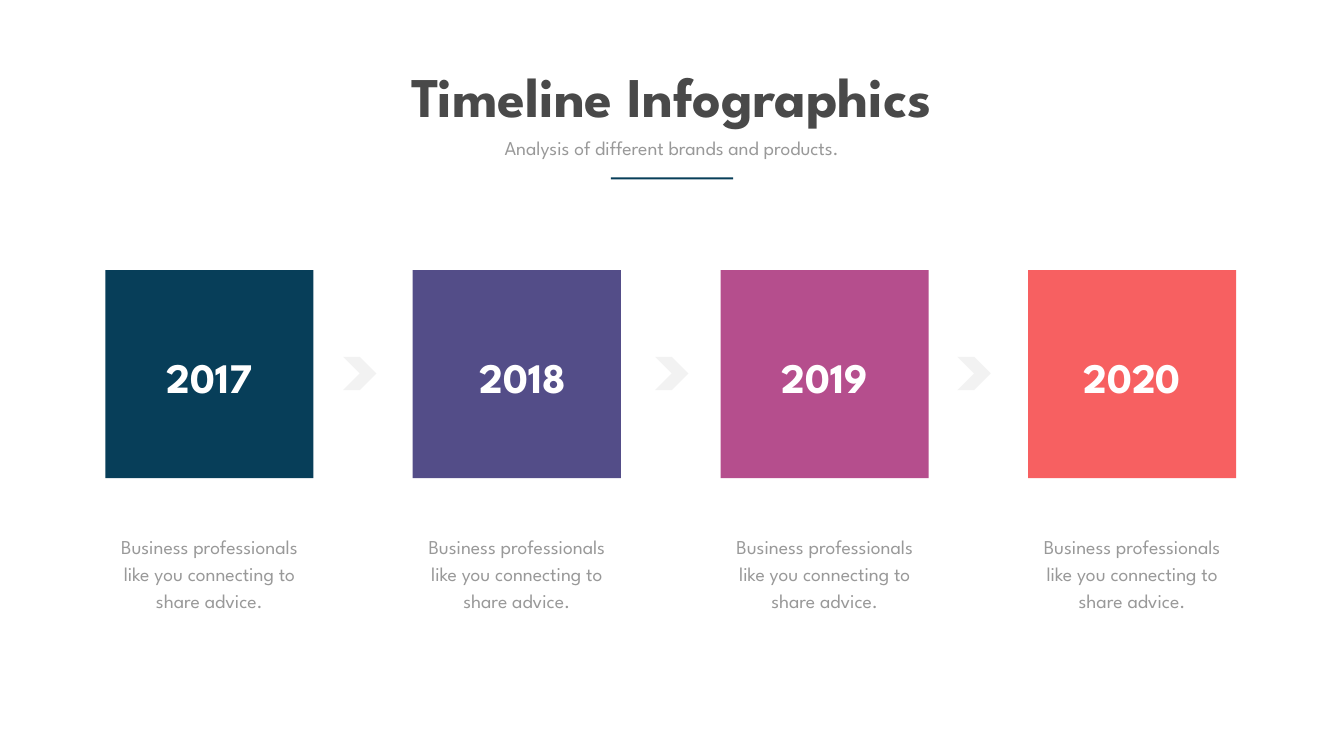
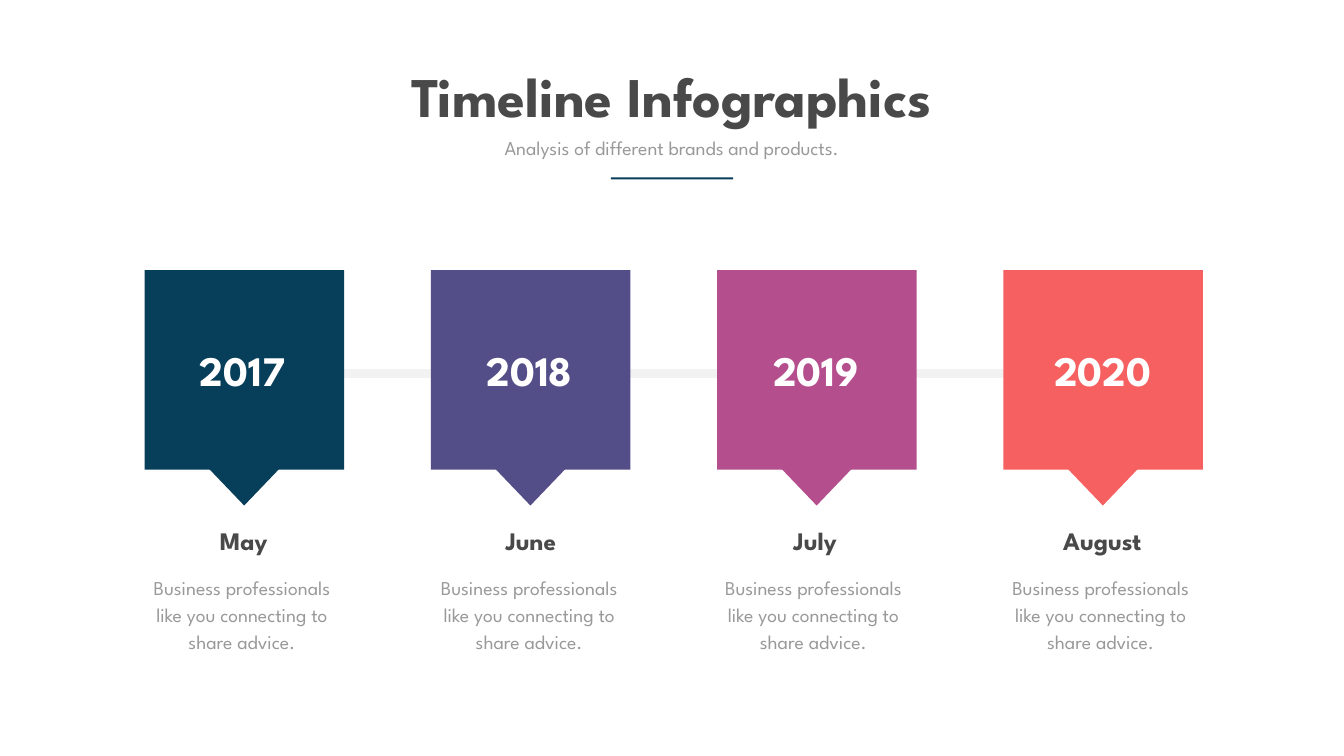
from lxml import etree
from pptx import Presentation
from pptx import util as u
from pptx.dml.color import RGBColor
from pptx.enum import shapes, text
from pptx.oxml.ns import qn

FONT = "League Spartan"
DARK, GREY, PALE, WHITE = "494949", "999999", "F2F2F2", "FFFFFF"
COLOURS = ["073E59", "534D88", "B54E8D", "F76061"]
YEARS = ["2017", "2018", "2019", "2020"]
MONTHS = ["May", "June", "July", "August"]
ADVICE = "Business professionals like you connecting to share advice."
SHAPE = shapes.MSO_SHAPE


def rgb(colour):
    return RGBColor.from_string(colour)


class Deck:
    """Holds the presentation, its shared style and the current slide."""

    def __init__(self):
        self.prs = Presentation()
        self.prs.slide_width = u.Inches(26.67)
        self.prs.slide_height = u.Inches(15)
        self.s = None

    def new_slide(self):
        self.s = self.prs.slides.add_slide(self.prs.slide_layouts[6])
        fill = self.s.background.fill
        fill.solid()
        fill.fore_color.rgb = rgb(WHITE)

    def heading(self):
        self.label("Timeline Infographics", 7.47, 1.17, 11.72, 1.45, 80, DARK,
                   bold=True, wrap=False)
        self.label("Analysis of different brands and products.",
                   8.55, 2.65, 9.56, 0.57, 28, GREY)
        self.shape(SHAPE.RECTANGLE, 12.12, 3.52, 2.43, 0.04, COLOURS[0])

    def label(self, words, x, y, w, h, size, colour, bold=False, wrap=True, spacing=None):
        box = self.s.shapes.add_textbox(*map(u.Inches, (x, y, w, h)))
        tf = box.text_frame
        tf.word_wrap = wrap
        tf.auto_size = text.MSO_AUTO_SIZE.SHAPE_TO_FIT_TEXT
        p = tf.paragraphs[0]
        p.alignment = text.PP_ALIGN.CENTER
        if spacing:
            p.line_spacing = u.Pt(spacing)
        r = p.add_run()
        r.text = words
        r.font.name, r.font.size, r.font.bold = FONT, u.Pt(size), bold
        r.font.color.rgb = rgb(colour)

    def year(self, words, x, y, w):
        self.label(words, x, y, w, 1.11, 60, WHITE, bold=True)

    def advice(self, x, y, w, h):
        self.label(ADVICE, x, y, w, h, 28, GREY, spacing=38.6)

    def shape(self, kind, x, y, w, h, colour, parent=None):
        sp = (parent or self.s).shapes.add_shape(kind, *map(u.Inches, (x, y, w, h)))
        sp.shadow.inherit = False
        sp.fill.solid()
        sp.fill.fore_color.rgb = rgb(colour)
        sp.line.fill.background()
        return sp

    def pin(self, x, y, colour):
        """Square with a pointer below it, as one group."""
        group = self.s.shapes.add_group_shape()
        self.shape(SHAPE.RECTANGLE, x, y, 3.96, 3.96, colour, group)
        pointer = self.shape(SHAPE.ISOSCELES_TRIANGLE, x + 0.95, y + 3.6,
                             2.05, 1.07, colour, group)
        pointer.rotation = 180

    def line(self, x1, x2, y, colour, width):
        c = self.s.shapes.add_connector(shapes.MSO_CONNECTOR.STRAIGHT,
                                        *map(u.Inches, (x1, y, x2, y)))
        c.line.color.rgb = rgb(colour)
        c.line.width = u.Pt(width)
        etree.SubElement(c._element.spPr, qn("a:effectLst"))


def squares_slide(deck):
    deck.new_slide()
    deck.heading()
    side = 4.13
    lefts = [2.09 + 6.1 * i + (0.01 if i > 1 else 0) for i in range(4)]
    year_lefts = [lefts[0], 8.31, *lefts[2:]]
    for x, year_x, year, colour in zip(lefts, year_lefts, YEARS, COLOURS):
        deck.shape(SHAPE.RECTANGLE, x, 5.36, side, side, colour)
        deck.year(year, year_x, 6.93, side)
        deck.advice(x, 10.49, side, 2.24)
    for x in (6.81, 13, 19):
        deck.shape(SHAPE.CHEVRON, x, 7.08, 0.66, 0.66, PALE)


def pins_slide(deck):
    deck.new_slide()
    deck.line(4.03, 22.57, 7.41, PALE, 13.5)
    deck.heading()
    month_lefts = [2.85, 8.55, 14.19, 19.89]
    for i, (month_x, year, month, colour) in enumerate(
            zip(month_lefts, YEARS, MONTHS, COLOURS)):
        deck.pin(2.87 + 5.68 * i, 5.36, colour)
        deck.year(year, 2.61 + 5.69 * i, 6.79, 4.41)
        deck.label(month, month_x, 10.37, 3.97, 0.71, 36, DARK, bold=True)
        deck.advice(month_x - 0.2, 11.31, 4.3, 1.69)


def main():
    deck = Deck()
    squares_slide(deck)
    pins_slide(deck)
    deck.prs.save("out.pptx")


if __name__ == "__main__":
    main()
